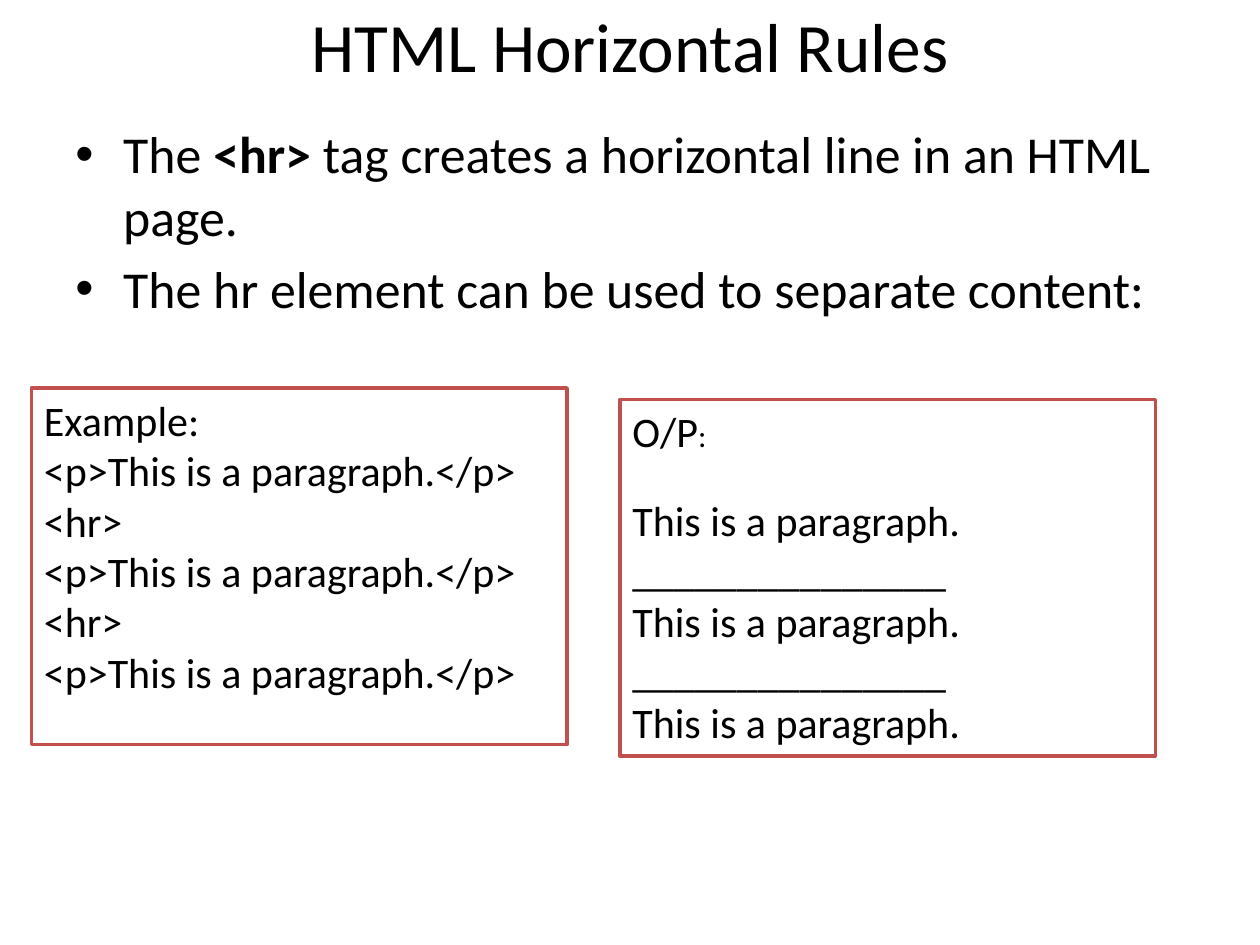
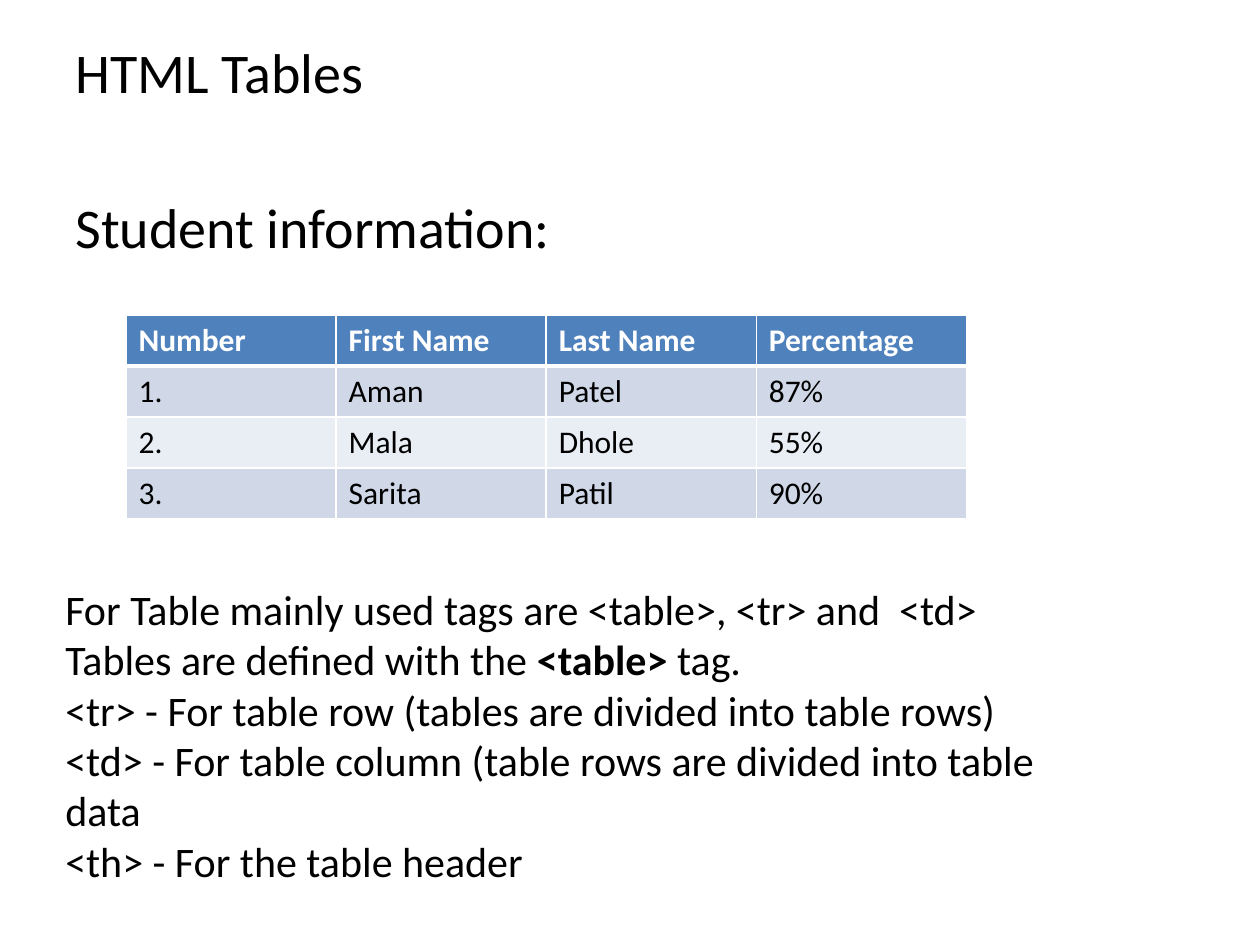
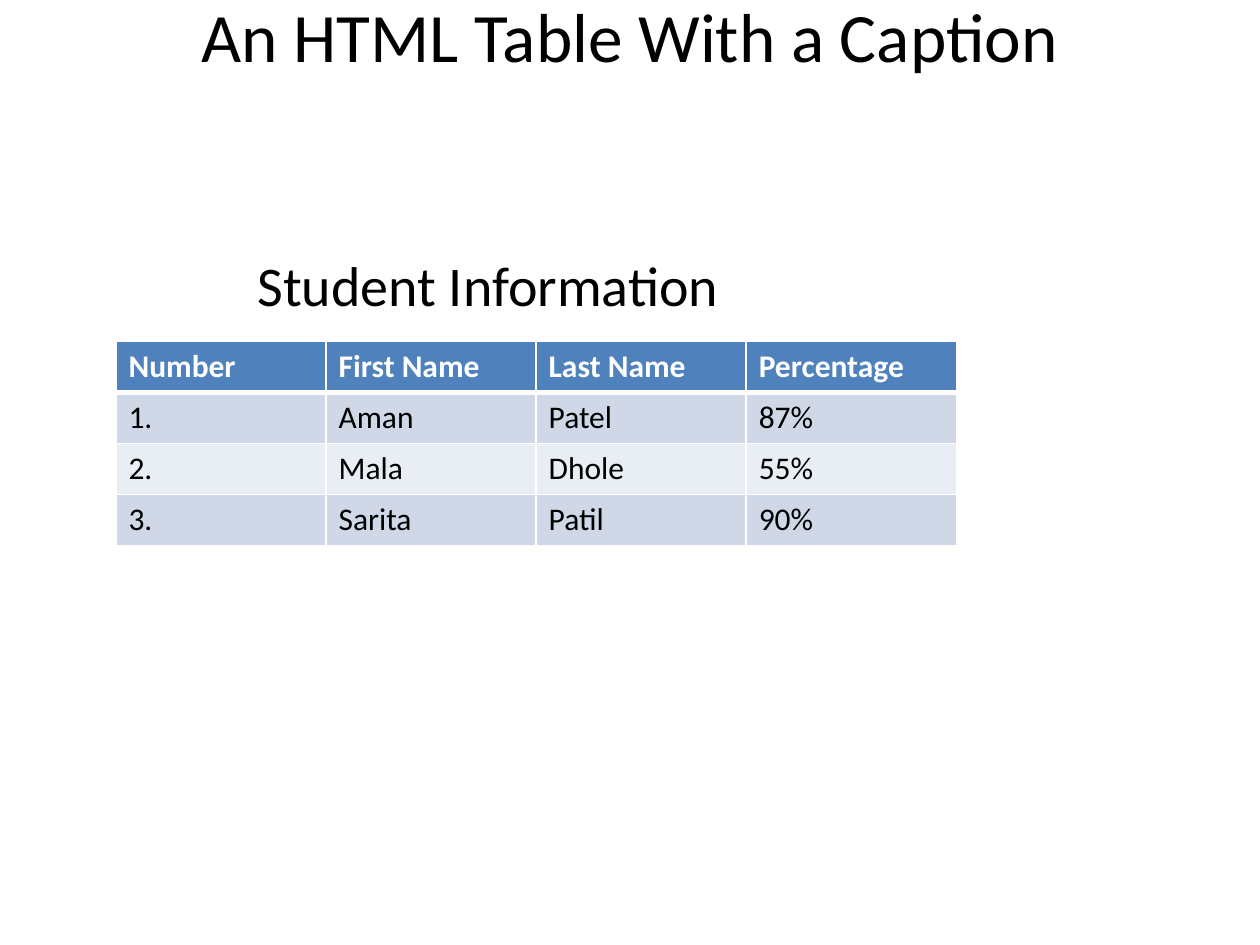
from pptx import Presentation
from pptx.dml.color import RGBColor
from pptx.enum.shapes import MSO_SHAPE
from pptx.enum.text import MSO_ANCHOR, PP_ALIGN
from pptx.oxml.ns import qn
from pptx.util import Inches, Pt
from lxml.etree import SubElement

BLACK, WHITE = "000000", "FFFFFF"
RED, BLUE = "C0504D", "4F81BD"
BANDS = ["D0D8E8", "E9EDF4"]
BOLD = {"bold": True}

STUDENTS = [
    ["Number", "First Name", "Last Name", "Percentage"],
    ["1.", "Aman", "Patel", "87%"],
    ["2.", "Mala", "Dhole", "55%"],
    ["3.", "Sarita", "Patil", "90%"],
]


def tint(code):
    """Turn a hex string into a colour."""
    return RGBColor.from_string(code)


def style(item, form):
    """Set each format value on an item."""
    for name, value in form.items():
        setattr(item, name, value)


class Deck:
    """Hold the shared style and the current slide."""

    def __init__(self):
        """Start an empty deck."""
        self.show = Presentation()
        style(self.show, {"slide_width": Inches(10), "slide_height": Inches(7.5)})

    def page(self):
        """Add a blank slide and make it current."""
        self.slide = self.show.slides.add_slide(self.show.slide_layouts[6])

    def fill(self, frame, lines, size, color=BLACK, gap=0, bullet=None, **form):
        """Fill a frame with lines, each a string or a list of text and format pairs."""
        frame.word_wrap = True
        for index, line in enumerate(lines):
            para = frame.paragraphs[0] if index == 0 else frame.add_paragraph()
            if bullet:
                self.mark(para, bullet)
            style(para, {"alignment": PP_ALIGN.LEFT, **form})
            if index and gap:
                para.space_before = Pt(gap)
            for text, extra in [(line, {})] if isinstance(line, str) else line:
                run = para.add_run()
                run.text = text
                style(run.font, {"name": "Calibri", "size": Pt(size), **extra})
                run.font.color.rgb = tint(color)

    def mark(self, para, sign):
        """Give a paragraph a hanging bullet."""
        props = para._p.get_or_add_pPr()
        props.set("marL", str(Inches(0.38)))
        props.set("indent", str(-Inches(0.38)))
        SubElement(props, qn("a:buFont"), typeface="Arial")
        SubElement(props, qn("a:buChar"), char=sign)

    def text(self, spot, lines, size, top=0.05, anchor=MSO_ANCHOR.TOP, **form):
        """Add a text box."""
        frame = self.slide.shapes.add_textbox(*map(Inches, spot)).text_frame
        style(frame, {"margin_top": Inches(top), "vertical_anchor": anchor})
        self.fill(frame, lines, size, **form)

    def title(self, words, height):
        """Add a centred title at the top of the slide."""
        self.text((0.5, 0, 9, height), [words], 39.6, anchor=MSO_ANCHOR.MIDDLE,
                  alignment=PP_ALIGN.CENTER)

    def panel(self, left, top, lines):
        """Add a white panel with a red outline."""
        spot = map(Inches, (left, top, 4.25, 2.83))
        shape = self.slide.shapes.add_shape(MSO_SHAPE.RECTANGLE, *spot)
        shape.shadow.inherit = False
        shape.fill.solid()
        shape.fill.fore_color.rgb = tint(WHITE)
        shape.line.color.rgb = tint(RED)
        shape.line.width = Pt(2)
        shape.text_frame.vertical_anchor = MSO_ANCHOR.TOP
        self.fill(shape.text_frame, lines, 24)
        return shape.text_frame

    def edge(self, cell, head):
        """Draw white borders round a cell, thick under the head row."""
        props = cell._tc.get_or_add_tcPr()
        for side in "LRTB":
            width = Pt(3 if head and side == "B" else 1)
            line = SubElement(props, qn(f"a:ln{side}"), w=str(width))
            SubElement(SubElement(line, qn("a:solidFill")), qn("a:srgbClr"), val=WHITE)

    def table(self, left, top, rows):
        """Add a banded table with a blue head row."""
        spot = map(Inches, (left, top, 6.67, 1.62))
        grid = self.slide.shapes.add_table(len(rows), len(rows[0]), *spot).table
        for r, row in enumerate(rows):
            head = r == 0
            for c, value in enumerate(row):
                cell = grid.cell(r, c)
                self.edge(cell, head)
                cell.fill.solid()
                cell.fill.fore_color.rgb = tint(BLUE if head else BANDS[(r - 1) % 2])
                self.fill(cell.text_frame, [[(value, {"bold": head})]], 18,
                          color=WHITE if head else BLACK)


def rules(deck):
    """Build the slide on horizontal rules."""
    deck.page()
    deck.title("HTML Horizontal Rules", 0.71)
    deck.text((0.5, 0.92, 9, 1.5), [
        [("The ", {}), ("<hr>", BOLD), (" tag creates a horizontal line in an HTML page.", {})],
        "The hr element can be used to separate content:",
    ], 29.6, gap=5.9, bullet="•")
    code, rule = "<p>This is a paragraph.</p>", "_" * 15
    deck.panel(0.25, 3.08, ["Example:", code, "<hr>", code, "<hr>", code])
    plain = "This is a paragraph."
    frame = deck.panel(4.92, 3.17, [[("O/P", {}), (":", {"size": Pt(18)})],
                                    plain, rule, plain, rule, plain])
    frame.paragraphs[1].space_before = Pt(22)


def tables(deck):
    """Build the slide on tables."""
    deck.page()
    deck.text((0.5, 0.25, 9, 7), ["HTML Tables", "Student information:"], 32, gap=50)
    deck.table(1, 2.5, STUDENTS)
    deck.text((0.42, 4.58, 8.17, 2.83), [
        "For Table mainly used tags are <table>, <tr> and  <td>",
        [("Tables are defined with the ", {}), ("<table>", BOLD), (" tag.", {})],
        "<tr> - For table row (tables are divided into table rows)",
        "<td> - For table column (table rows are divided into table data",
        "<th> - For the table header",
    ], 24)


def caption(deck):
    """Build the slide on a table with a caption."""
    deck.page()
    deck.title("An HTML Table With a Caption", 0.55)
    deck.text((0.5, 0.67, 6.75, 6.03), ["Student Information"], 32, top=1.32,
              alignment=PP_ALIGN.CENTER)
    deck.table(0.92, 2.71, STUDENTS)


def main():
    """Build and save the deck."""
    deck = Deck()
    for build in (rules, tables, caption):
        build(deck)
    deck.show.save("out.pptx")


if __name__ == "__main__":
    main()
